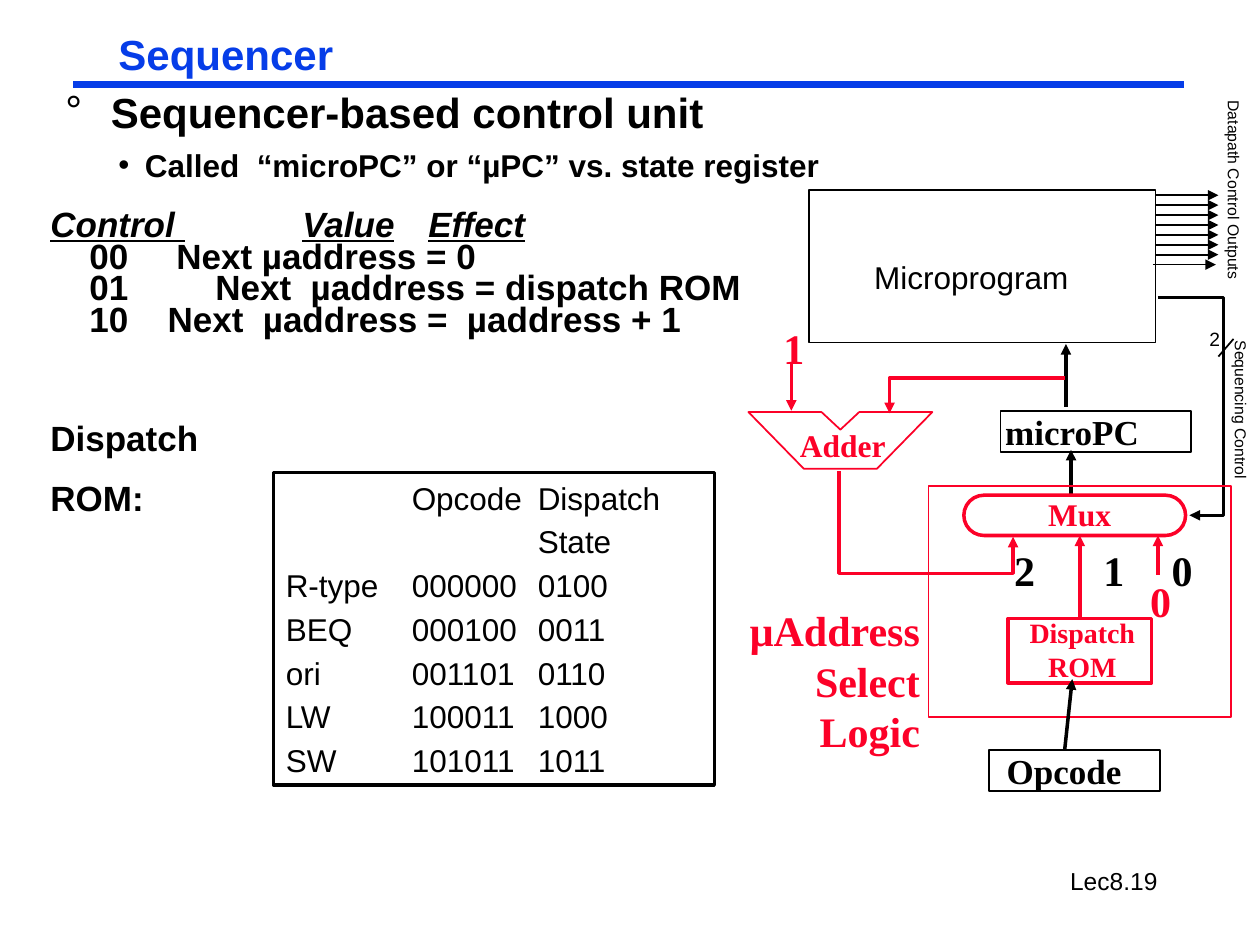
import pptx
import pptx.util
import pptx.dml.color
import pptx.enum.shapes
import pptx.enum.text
import pptx.oxml
import pptx.oxml.ns

BLUE = pptx.dml.color.RGBColor(0x06, 0x3D, 0xE8)
RED = pptx.dml.color.RGBColor(0xFC, 0x01, 0x28)
BLACK = pptx.dml.color.RGBColor(0, 0, 0)
SANS, SERIF = "Arial", "Times New Roman"
ALIGN = pptx.enum.text.PP_ALIGN
KIND = pptx.enum.shapes.MSO_SHAPE
NS = pptx.oxml.ns.nsdecls("a")
COLS, ROWS = 100, 75  # grid of square cells over the slide

deck = pptx.Presentation()
deck.slide_width = pptx.util.Inches(10)
deck.slide_height = pptx.util.Inches(7.5)
slide = deck.slides.add_slide(deck.slide_layouts[5])
shapes = slide.shapes


def cell(n):
    return round(deck.slide_width * n / COLS)


def place(box, x, y, w, h):
    return [cell(n) for n in (box[0] + x, box[1] + y, w, h)]


def add_xml(parent, xml):
    parent.append(pptx.oxml.parse_xml(xml))


def style(par, size, face=SANS, color=BLACK, bold=False):
    font = par.font
    font.size, font.name, font.bold = pptx.util.Pt(size), face, bold
    font.color.rgb = color


def set_tabs(par, stops):
    props = par._p.get_or_add_pPr()
    props.set("defTabSz", str(cell(10)))
    tabs = "".join(f'<a:tab pos="{cell(s)}" algn="l"/>' for s in stops)
    add_xml(props, f"<a:tabLst {NS}>{tabs}</a:tabLst>")


def inset(frame, side, top):
    frame.margin_left = frame.margin_right = cell(side)
    frame.margin_top = frame.margin_bottom = cell(top)


def label(box, spot, text, size, face=SERIF, color=RED, bold=True,
          align=ALIGN.LEFT, turn=0):
    item = shapes.add_textbox(*place(box, *spot))
    item.rotation = turn
    frame = item.text_frame
    frame.word_wrap = False
    inset(frame, 1, 0.5)
    frame.text = text
    for par in frame.paragraphs:
        par.alignment = align
        style(par, size, face, color, bold)


def ink(item, color, width, arrow=False):
    item.line.color.rgb = color
    item.line.width = pptx.util.Pt(width)
    if arrow:
        add_xml(item.element.spPr.find(pptx.oxml.ns.qn("a:ln")),
                f'<a:tailEnd {NS} type="triangle"/>')


def frame_box(box, spot, color, width, kind=KIND.RECTANGLE):
    item = shapes.add_shape(kind, *place(box, *spot))
    item.shadow.inherit = False
    item.fill.background()
    ink(item, color, width)
    return item


def line(box, start, end, color, width, arrow=True):
    ends = [cell(box[i] + p[i]) for p in (start, end) for i in (0, 1)]
    item = shapes.add_connector(
        pptx.enum.shapes.MSO_CONNECTOR.STRAIGHT, *ends)
    ink(item, color, width, arrow)
    add_xml(item.element.spPr, f"<a:effectLst {NS}/>")


def route(box, points, color, width, closed=False):
    spots = [(cell(box[0] + x), cell(box[1] + y)) for x, y in points]
    pen = shapes.build_freeform(*spots[0])
    pen.add_line_segments(spots[1:], close=closed)
    item = pen.convert_to_shape()
    item.shadow.inherit = False
    item.fill.background()
    ink(item, color, width, not closed)


def header(box):
    line(box, (0, 4.2), (88.2, 4.2), BLUE, 3.75, False)
    title = shapes.title
    title.left, title.top, title.width, title.height = place(
        box, 2.9, 0, 19.4, 4)
    frame = title.text_frame
    frame.auto_size = pptx.enum.text.MSO_AUTO_SIZE.NONE
    frame.vertical_anchor = pptx.enum.text.MSO_ANCHOR.TOP
    inset(frame, 0.7, 0.3)
    frame.text = "Sequencer"
    par = frame.paragraphs[0]
    par.alignment, par.line_spacing = ALIGN.LEFT, 0.87
    style(par, 24, SANS, BLUE, True)


def footer(box):
    label(box, (0, 0, 20.8, 2.9), "Lec8.19", 14, SANS, BLACK, False,
          ALIGN.CENTER)


def notes(box):
    # text, size, spacing, space before, bullet, (margin, indent), tab stops
    rows = [
        ("Sequencer-based control unit", 24, 0.75, 0, "°", (4.8, -3.6), ()),
        ("Called  “microPC” or “µPC” vs. state register", 18, 0.85, 9, "•",
         (7.5, -2.1), ()),
        ("Control \tValue\tEffect", 20, 0.75, 16.2, "", (), (20, 30)),
        ("\t00\tNext µaddress = 0", 20, 0.75, 0, "", (), (3.1, 10)),
        ("\t01\tNext  µaddress = dispatch ROM", 20, 0.75, 0, "", (),
         (3.1, 13.1)),
        ("\t10\tNext  µaddress =  µaddress + 1", 20, 0.75, 0, "", (),
         (3.1, 9.3)),
        ("Dispatch", 20, 0.75, 50.4, "", (), ()),
        ("ROM:", 20, 0.75, 16.2, "", (), ()),
    ]
    frame = shapes.add_textbox(*place(box, 0, 0, *box[2:])).text_frame
    frame.word_wrap = True
    inset(frame, 0.7, 0.3)
    frame.text = "\n".join(row[0] for row in rows)
    for par, row in zip(frame.paragraphs, rows):
        _, size, gap, above, mark, margin, stops = row
        if mark:
            props = par._p.get_or_add_pPr()
            props.set("marL", str(cell(margin[0])))
            props.set("indent", str(cell(margin[1])))
            add_xml(props, f'<a:buFont {NS} typeface="{SANS}"/>')
            add_xml(props, f'<a:buChar {NS} char="{mark}"/>')
        if stops:
            set_tabs(par, stops)
        par.line_spacing, par.space_before = gap, pptx.util.Pt(above)
        style(par, size, bold=True)
    head = frame.paragraphs[2].font
    head.italic = head.underline = True


def codes(box):
    frame = frame_box(box, (0, 0, *box[2:]), BLACK, 2).text_frame
    frame.vertical_anchor = pptx.enum.text.MSO_ANCHOR.TOP
    inset(frame, 1, 0.5)
    rows = [("", "Opcode", "Dispatch"), ("", "", "State"),
            ("R-type", "000000", "0100"), ("BEQ", "000100", "0011"),
            ("ori", "001101", "0110"), ("LW", "100011", "1000"),
            ("SW", "101011", "1011")]
    frame.text = "\n".join("\t".join(row) for row in rows)
    for i, par in enumerate(frame.paragraphs):
        set_tabs(par, (10, 20))
        par.alignment = ALIGN.LEFT
        par.space_before = pptx.util.Pt(3.4 if i else 0)
        style(par, 18)


def store(box):
    # microprogram memory with its outputs
    frame_box(box, (0, 0, *box[2:]), BLACK, 1)
    label(box, (4.2, 4.9, 17.4, 4), "Microprogram", 18, SANS, BLACK, False)
    for i in range(8):
        x, y = 27.3 if i == 7 else 27.5, 0.4 + 5.5 * i / 7
        line(box, (x, y), (x + 5, y), BLACK, 1)
    label(box, (25.2, -0.8, 17.1, 2.5), "Datapath Control Outputs", 9, SANS,
          BLACK, False, turn=90)
    # sequencing control back to the mux
    route(box, [(27.7, 8.5), (32.9, 8.5), (32.9, 25.8), (30.2, 25.8)],
          BLACK, 2)
    line(box, (33.7, 11.8), (32.5, 13.2), BLACK, 1, False)
    label(box, (30.8, 10.4, 2.8, 2.9), "2", 11, SANS, BLACK, False)
    label(box, (27.8, 16.2, 13, 2.5), "Sequencing Control", 9, SANS, BLACK,
          False, turn=90)


def counter(box):
    frame_box(box, (0, 0, *box[2:]), BLACK, 1)
    label(box, (-0.6, -0.5, 12.6, 4.3), "microPC", 20, color=BLACK)
    line(box, (5.2, -0.3), (5.2, -5.3), BLACK, 2)
    line(box, (5.6, 6.6), (5.6, 3.1), BLACK, 2)


def adder(box):
    route(box, [(0, 0), (5.8, 0), (7.3, 1.4), (8.8, 0), (14.6, 0),
                (10.2, 4.5), (4.4, 4.5)], RED, 1, True)
    label(box, (3.1, 0.6, 8.8, 4), "Adder", 18)
    label(box, (1.8, -7.6, 3.6, 5), "1", 24)
    line(box, (3.4, -3.9), (3.4, -0.1), RED, 2)
    route(box, [(25.1, -2.7), (11.2, -2.7), (11.2, 0.1)], RED, 2)
    route(box, [(7.2, 4.7), (7.2, 12.8), (21, 12.8), (21, 9.9)], RED, 2)


def select(box):
    frame_box(box, (0, 0, *box[2:]), RED, 1)
    label(box, (-15.3, 8.9, 15.6, 13), "µAddress\nSelect\nLogic", 24,
          align=ALIGN.RIGHT)
    # mux with its three inputs
    mux = frame_box(box, (2.8, 0.7, 17.6, 3.2), RED, 2, KIND.ROUNDED_RECTANGLE)
    mux.adjustments[0] = 0.5
    label(box, (8.5, 0.2, 7, 4), "Mux", 18)
    for x, text in ((5.8, "2"), (12.9, "1"), (18.3, "0")):
        label(box, (x, 4.1, 3.6, 5), text, 24, color=BLACK)
    label(box, (16.6, 6.6, 3.6, 5), "0", 24)
    line(box, (12, 10.5), (12, 3.9), RED, 2)
    line(box, (18.2, 7), (18.2, 3.9), RED, 2)
    # dispatch memory, fed by the opcode
    frame_box(box, (6.3, 10.5, 11.4, 5.1), RED, 2)
    label(box, (7, 9.8, 10.4, 6.3), "Dispatch\nROM", 16, align=ALIGN.CENTER)
    line(box, (10.8, 20.9), (11.4, 15.3), BLACK, 2)
    frame_box(box, (4.8, 20.9, 13.6, 3.3), BLACK, 1)
    label(box, (5.2, 20.4, 11.1, 4.3), "Opcode", 20, color=BLACK)


header((5.8, 2.5))
footer((78, 68.2))
notes((3.3, 7.5, 78.3, 44))
codes((21.7, 37.5, 35, 24.8))
store((64.2, 15.1, 27.5, 12.1))
counter((79.4, 32.6, 15.1, 3.3))
adder((59.4, 32.7))
select((73.7, 38.6, 24, 18.3))
deck.save("out.pptx")
